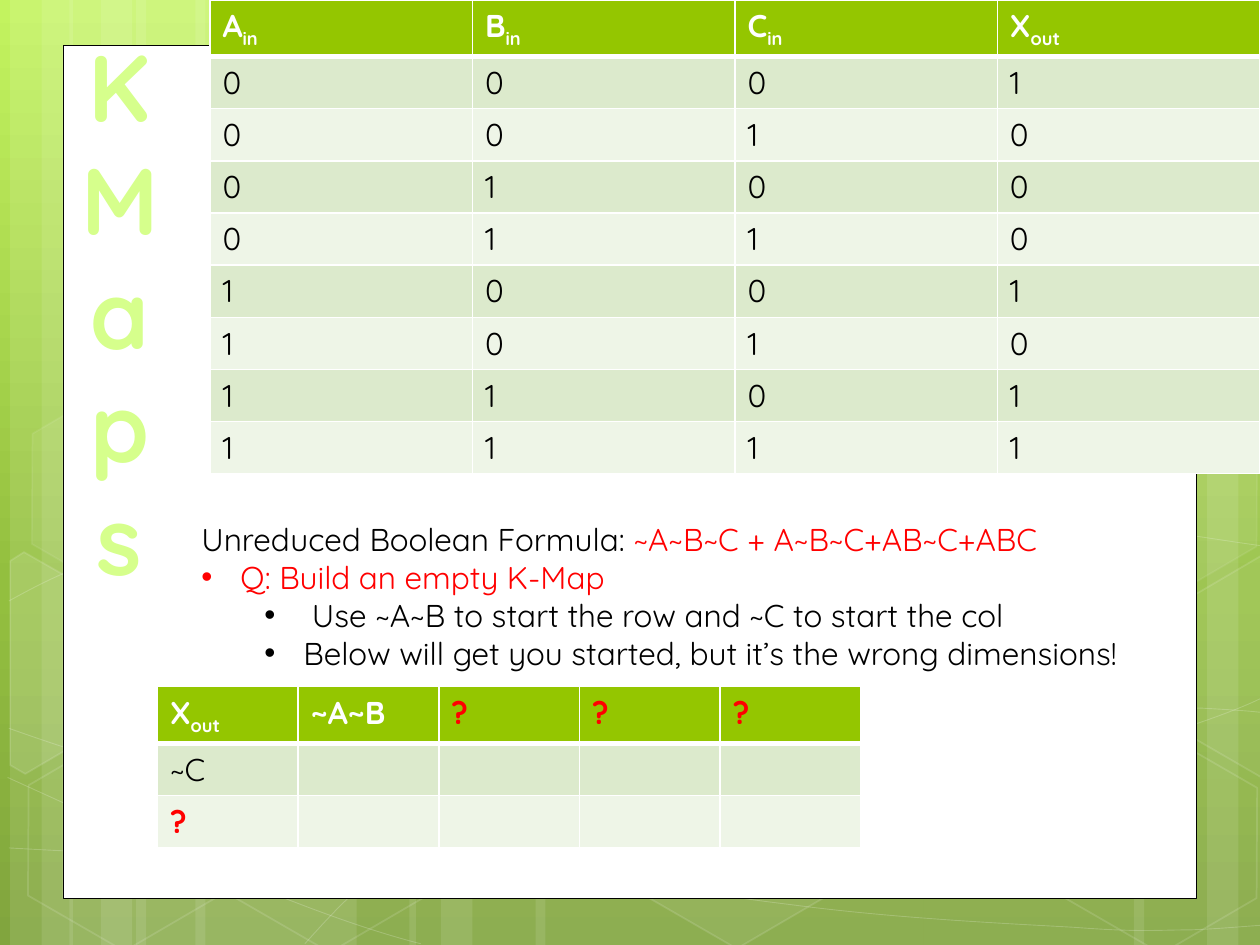
from math import cos, radians, sin

from lxml import etree
from pptx import Presentation
from pptx.dml.color import RGBColor
from pptx.enum.shapes import MSO_SHAPE
from pptx.enum.text import MSO_ANCHOR, MSO_AUTO_SIZE, PP_ALIGN
from pptx.oxml import parse_xml
from pptx.oxml.ns import nsdecls, qn
from pptx.util import Inches, Pt

RECTANGLE, HEXAGON = MSO_SHAPE.RECTANGLE, MSO_SHAPE.HEXAGON
FONT = "Quicksand"
COLORS = {
    "white": "FFFFFF", "black": "000000", "red": "FF0000", "title": "D6FF8C",
    "header": "94C600", "band dark": "DCEACC", "band light": "EEF5E7",
}


def paint(shape, fill_alpha=None, line_alpha=None, line_width=1):
    """Give a shape a see-through white fill and line; None means no paint."""
    shape.shadow.inherit = False
    for fill, alpha in ((shape.fill, fill_alpha), (shape.line.fill, line_alpha)):
        if alpha is None:
            fill.background()
            continue
        fill.solid()
        fill.fore_color.rgb = RGBColor.from_string(COLORS["white"])
    if line_alpha is not None:
        shape.line.width = Pt(line_width)
    properties = shape._element.spPr
    for holder, alpha in (("a:solidFill", fill_alpha), ("a:ln/a:solidFill", line_alpha)):
        if alpha not in (None, 100):
            color = properties.find("/".join(qn(tag) for tag in holder.split("/")))[0]
            etree.SubElement(color, qn("a:alpha")).set("val", str(alpha * 1000))


def add_run(paragraph, text, color, bold=False, size=18, subscript=False):
    run = paragraph.add_run()
    run.text = text
    run.font.name, run.font.size, run.font.bold = FONT, Pt(size), bold
    run.font.color.rgb = RGBColor.from_string(COLORS[color])
    if subscript:
        run._r.get_or_add_rPr().set("baseline", "-25000")


presentation = Presentation()
presentation.slide_width, presentation.slide_height = Inches(10), Inches(7.5)
COLUMN = presentation.slide_width / 24
ROW = Inches(0.41)
slide = presentation.slides.add_slide(presentation.slide_layouts[5])
shapes = slide.shapes

# Background gradient
background = slide.background.fill
background.gradient()
background.gradient_angle = 270
stops = background._xPr.find(qn("a:gradFill")).find(qn("a:gsLst"))
for stop in list(stops):
    stops.remove(stop)
for position, color in ((0, "C3F35F"), (62, "93BF3F"), (100, "81A53E")):
    stops.append(parse_xml(
        f'<a:gs {nsdecls("a")} pos="{position * 1000}"><a:srgbClr val="{color}"/></a:gs>'))

# Vertical light stripes: left, width
for left, width in (
    (1.08, 1.75), (0.08, 0.5), (0.33, 0.83), (1.55, 1.75), (0.55, 0.5), (0.8, 0.83),
    (7.33, 1.75), (9.58, 0.5), (9, 0.83), (4.25, 3.08), (3.25, 0.5), (3.5, 0.83),
):
    paint(shapes.add_shape(RECTANGLE, Inches(left), 0, Inches(width),
                           presentation.slide_height), fill_alpha=10)

# Thin curves: a start, then two controls and an end for each cubic
curves = [
    [(0.07, 6.73), (0.61, 6.76), (1.15, 6.79), (1.9, 6.78), (2.65, 6.77), (3.58, 6.75),
     (4.58, 6.65), (5.58, 6.55), (7, 6.36), (7.92, 6.17), (8.83, 5.98), (9.77, 5.68),
     (10.07, 5.51)],
    [(0.07, 4.77), (0.36, 4.61), (0.65, 4.46), (1.21, 4.31), (1.78, 4.16), (2.59, 3.94),
     (3.47, 3.87), (4.36, 3.8), (5.44, 3.79), (6.54, 3.87), (7.64, 3.95), (9.47, 4.26),
     (10.07, 4.34)],
    [(0.06, 6.17), (1.27, 6.72), (2.47, 7.27), (3.34, 7.49)],
    [(0.07, 5.78), (0.38, 5.89), (0.7, 6), (1.28, 6.16), (1.86, 6.31), (2.73, 6.56),
     (3.57, 6.73), (4.4, 6.9), (5.45, 7.08), (6.28, 7.18), (7.11, 7.29), (8, 7.33),
     (8.53, 7.36), (9.05, 7.4), (9.19, 7.38), (9.45, 7.38), (9.71, 7.37), (9.89, 7.35),
     (10.07, 7.34)],
    [(2.42, 7.49), (2.6, 7.29), (2.78, 7.09), (3.02, 6.91), (3.26, 6.73), (3.6, 6.53),
     (3.88, 6.39), (4.16, 6.25), (4.33, 6.19), (4.7, 6.09), (5.06, 5.99), (5.73, 5.85),
     (6.08, 5.78), (6.44, 5.71), (6.49, 5.71), (6.8, 5.69), (7.11, 5.66), (7.6, 5.63),
     (7.94, 5.62), (8.29, 5.61), (8.86, 5.62), (8.86, 5.62), (9.08, 5.62), (9.31, 5.62),
     (9.53, 5.62), (9.71, 5.63), (9.88, 5.64), (9.97, 5.65), (10.06, 5.66), (10.03, 5.65),
     (10.06, 5.66)],
]
for curve in curves:
    points = [(Inches(x), Inches(y)) for x, y in curve]
    builder = shapes.build_freeform(*points[0])
    builder.add_line_segments(points[1:], close=False)
    shape = builder.convert_to_shape()
    paint(shape, line_alpha=20, line_width=0.5)
    # Join each three straight segments into one cubic
    segments = list(shape._element.iter(qn("a:lnTo")))
    for first in range(0, len(segments), 3):
        cubic = etree.Element(qn("a:cubicBezTo"))
        segments[first].addprevious(cubic)
        for segment in segments[first:first + 3]:
            cubic.append(segment[0])
            segment.getparent().remove(segment)

# Hexagons: left, top, fill alpha, line alpha
for left, top, fill_alpha, line_alpha in (
    (4.97, 5.89, 6, 12), (0.11, 5.91, None, 12), (0.14, 3.12, 7, 8),
    (1.74, 5.92, None, 12), (8.34, 5.93, None, 12), (8.34, 3.14, 7, 8),
):
    hexagon = shapes.add_shape(HEXAGON, Inches(left), Inches(top), Inches(1.75), Inches(1.52))
    hexagon.adjustments[0], hexagon.adjustments[1] = 0.285, 1.155
    hexagon.rotation = 30
    paint(hexagon, fill_alpha, line_alpha)

# Hexagons cut off by the slide edges: fill alpha, centre, corners as they stand turned
TURN = 30
cosine, sine = cos(radians(TURN)), sin(radians(TURN))
for fill_alpha, (center_x, center_y), corners in (
    (10, (0.36, 5.35),
     [(0.08, 4.45), (0.19, 4.38), (0.96, 4.82), (0.95, 5.7), (0.2, 6.14), (0.08, 6.07)]),
    (4, (9.85, 5.2),
     [(9.26, 4.85), (10.01, 4.41), (10.09, 4.46), (10.09, 6.13), (10.02, 6.17), (9.26, 5.73)]),
    (None, (9.85, 2.41),
     [(9.26, 2.07), (10.01, 1.63), (10.1, 1.68), (10.09, 3.35), (10.02, 3.39), (9.26, 2.95)]),
):
    points = [(Inches(center_x + (x - center_x) * cosine + (y - center_y) * sine),
               Inches(center_y - (x - center_x) * sine + (y - center_y) * cosine))
              for x, y in corners]
    builder = shapes.build_freeform(*points[0])
    builder.add_line_segments(points[1:], close=True)
    shape = builder.convert_to_shape()
    shape.rotation = TURN
    paint(shape, fill_alpha, 12)

# White panel
panel = shapes.add_shape(RECTANGLE, Inches(0.5), Inches(0.36), Inches(9), Inches(6.77))
paint(panel, 100, 100, 0.5)
panel.line.color.rgb = RGBColor.from_string(COLORS["black"])

# Truth table and K-map; "_" starts a subscript
truth_rows = [["A_in", "B_in", "C_in", "X_out"]]
for number, output in enumerate("10001011"):
    truth_rows.append(list(f"{number:03b}") + [output])
map_rows = [["X_out", "~A~B", "?", "?", "?"], ["~C"] + [""] * 4, ["?"] + [""] * 4]
for rows, left, top, width in (
    (truth_rows, 4 * COLUMN, 0, 20 * COLUMN),
    (map_rows, 3 * COLUMN, Inches(5.45), 13.4 * COLUMN),
):
    table = shapes.add_table(len(rows), len(rows[0]), int(left), top, int(width),
                             ROW * len(rows)).table
    for row_index, row in enumerate(rows):
        table.rows[row_index].height = ROW
        for column_index, text in enumerate(row):
            cell = table.cell(row_index, column_index)
            is_header = row_index == 0
            widths = {"L": 1, "R": 1, "T": 1, "B": 3 if is_header else 1}
            if row_index == 1:
                del widths["T"]  # the header's thick line is already there
            for side, points in widths.items():
                cell._tc.get_or_add_tcPr().append(parse_xml(
                    f'<a:ln{side} {nsdecls("a")} w="{Pt(points)}"><a:solidFill>'
                    f'<a:srgbClr val="{COLORS["white"]}"/></a:solidFill></a:ln{side}>'))
            band = "header" if is_header else "band dark" if row_index % 2 else "band light"
            cell.fill.solid()
            cell.fill.fore_color.rgb = RGBColor.from_string(COLORS[band])
            paragraph = cell.text_frame.paragraphs[0]
            paragraph.font.name, paragraph.font.size = FONT, Pt(18)
            color = "red" if text == "?" else "white" if is_header else "black"
            for part_index, part in enumerate(text.split("_") if text else []):
                add_run(paragraph, part, color, is_header or text == "?",
                        subscript=part_index == 1)

# Formula and instructions: level (None for no bullet), runs
text_frame = shapes.add_textbox(int(3.6 * COLUMN), Inches(4.08), Inches(8), Inches(1.31)).text_frame
text_frame.word_wrap = True
text_frame.auto_size = MSO_AUTO_SIZE.SHAPE_TO_FIT_TEXT
for index, (level, runs) in enumerate((
    (None, [("Unreduced Boolean Formula: ", "black"), ("~A~B~C + A~B~C+AB~C+ABC", "red")]),
    (0, [("Q: Build an empty K-Map", "red")]),
    (1, [(" Use ~A~B to start the row and ~C to start the col", "black")]),
    (1, [("Below will get you started, but it’s the wrong dimensions!", "black")]),
)):
    paragraph = text_frame.add_paragraph() if index else text_frame.paragraphs[0]
    if level is not None:
        paragraph.level = level
        properties = paragraph._p.get_or_add_pPr()
        properties.set("marL", str(Inches(0.31 + 0.5 * level)))
        properties.set("indent", str(-Inches(0.31)))
        etree.SubElement(properties, qn("a:buFont")).set("typeface", "Arial")
        etree.SubElement(properties, qn("a:buChar")).set("char", "•")
    for text, color in runs:
        add_run(paragraph, text, color)

# Title, one letter to a line, in front of the panel
title = shapes.title
shapes._spTree.append(title._element)
title.left, title.top, title.width, title.height = (
    Inches(0.48), Inches(0.17), Inches(0.94), Inches(4.64))
title.text_frame.word_wrap = True
title.text_frame.auto_size = MSO_AUTO_SIZE.SHAPE_TO_FIT_TEXT
title.text_frame.vertical_anchor = MSO_ANCHOR.TOP
paragraph = title.text_frame.paragraphs[0]
paragraph.alignment = PP_ALIGN.CENTER
add_run(paragraph, "K Maps", "title", True, 54)

presentation.save("out.pptx")
